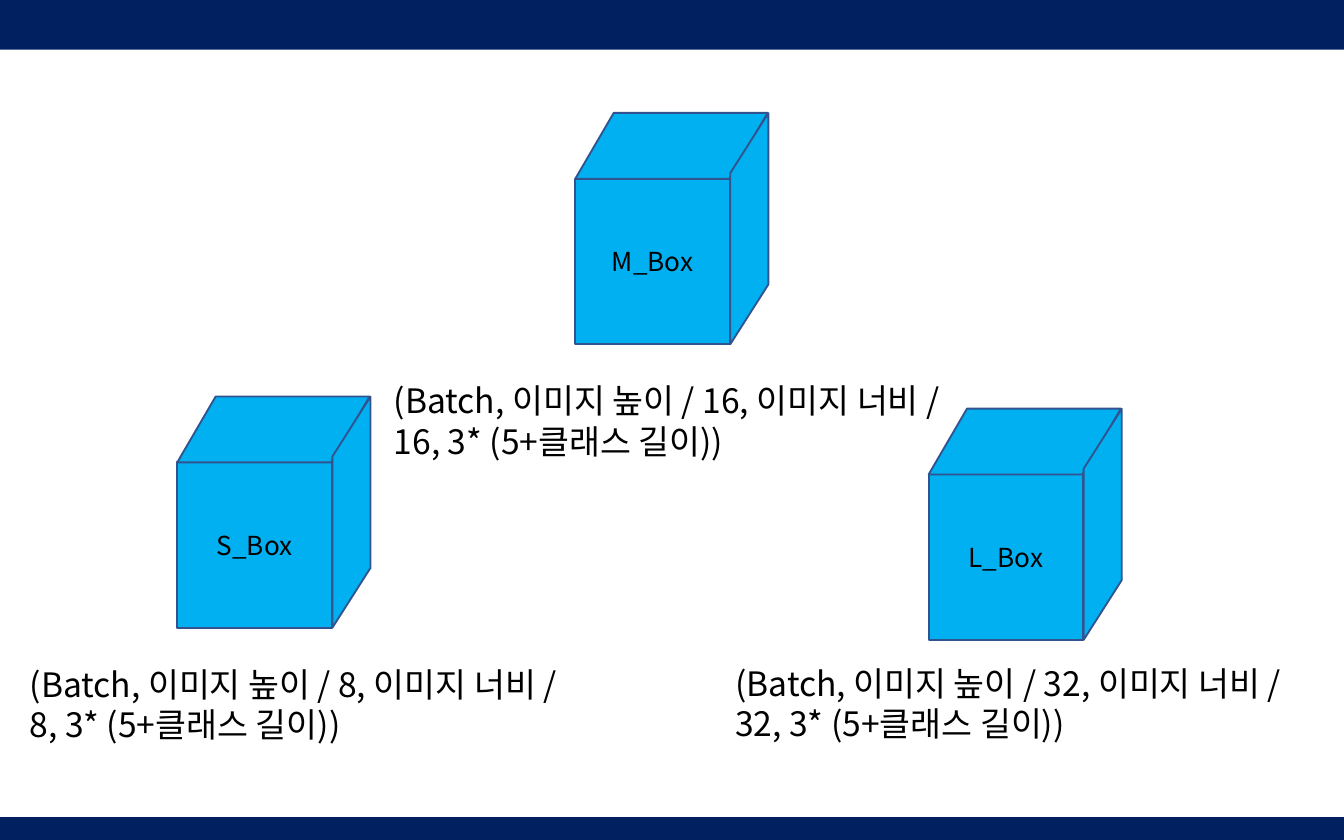
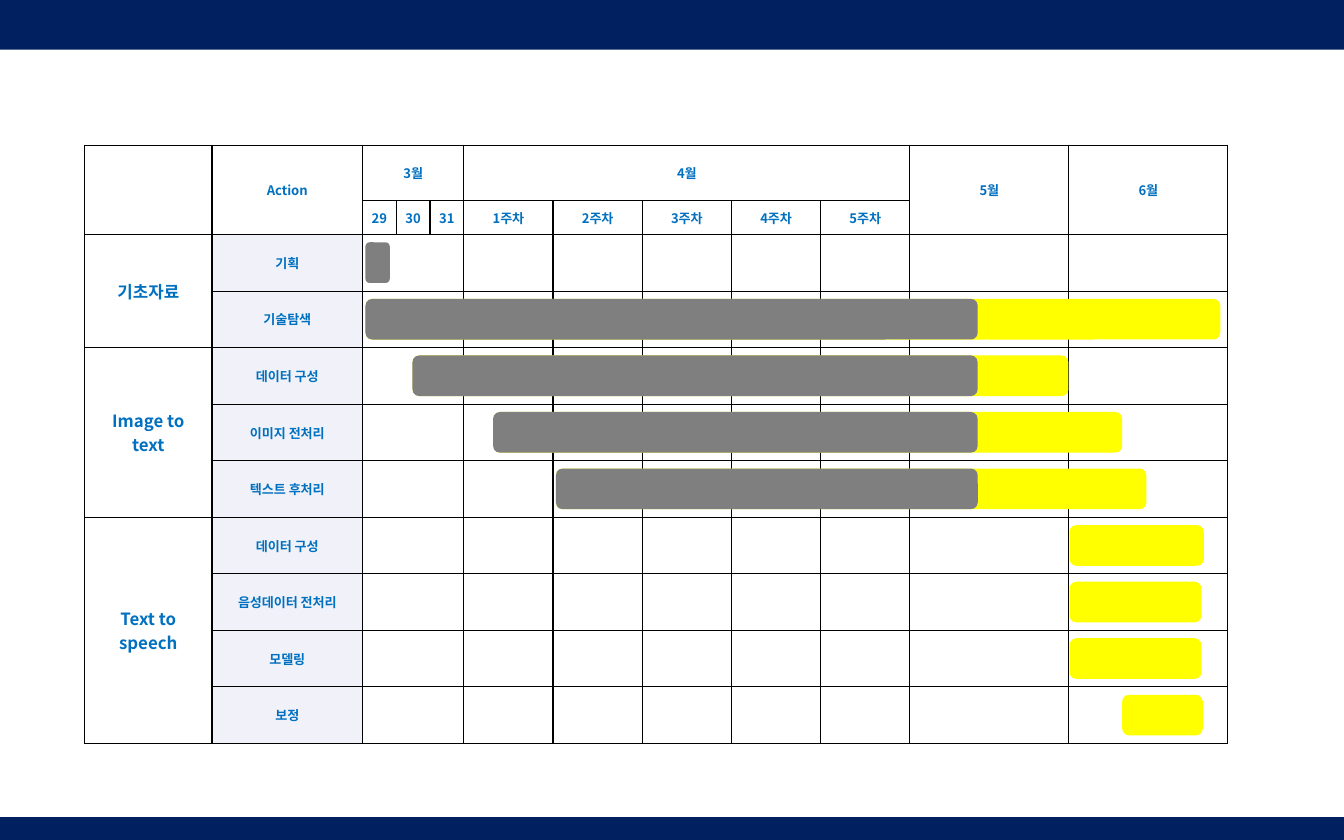
from lxml import etree
from pptx import Presentation
from pptx.dml.color import RGBColor
from pptx.enum.shapes import MSO_SHAPE
from pptx.enum.text import MSO_ANCHOR, MSO_AUTO_SIZE, PP_ALIGN
from pptx.oxml.ns import qn
from pptx.util import Pt

RECT = MSO_SHAPE.RECTANGLE
ROUND = MSO_SHAPE.ROUNDED_RECTANGLE
SLANT = MSO_SHAPE.FLOWCHART_DATA
SIDE = MSO_SHAPE.PARALLELOGRAM
MID = MSO_ANCHOR.MIDDLE
CENTER = PP_ALIGN.CENTER
GROW = MSO_AUTO_SIZE.SHAPE_TO_FIT_TEXT

FONT = "Noto Sans CJK KR"
COLORS = {
    "navy": "002060", "cube": "00B0F0", "edge": "31538F", "black": "000000",
    "blue": "0070C0", "pale": "F1F2F9", "white": "FFFFFF",
    "done": "7F7F7F", "plan": "FFFF00",
}
WIDTH, HEIGHT = 720, 450
BANDS = [(0, 26.6), (437.8, 12.2)]

CUBES = [
    ("L_Box", 497.5, 218.9),
    ("M_Box", 308.2, 60.5),
    ("S_Box", 95, 212.4),
]
NOTES = [
    (8, 10.1, 352.8, 303.8),
    (16, 205.2, 200.9, 320.4),
    (32, 388.1, 352.1, 314.6),
]

TABLE_X, TABLE_Y = 45.2, 77.8
COLS = [68.4, 80.6] + [18.1] * 3 + [47.8] * 5 + [85.2] * 2
ROW = 30.3
ROWS = [29.7, 18.2] + [ROW] * 9
HEADS = [
    ["", "Action", "3월", "", "", "4월", "", "", "", "", "5월", "6월"],
    ["", "", "29", "30", "31", "1주차", "2주차", "3주차", "4주차", "5주차", "", ""],
]
HEAD_SPANS = [(0, 0, 1, 0), (0, 1, 1, 1), (0, 2, 0, 4),
              (0, 5, 0, 9), (0, 10, 1, 10), (0, 11, 1, 11)]
NOW = 523.8
GROUPS = [
    ("기초자료", [
        ("기획", 195.8, 208.8, None),
        ("기술탐색", 195.8, NOW, 653.8)]),
    ("Image to\ntext", [
        ("데이터 구성", 221, NOW, 572.4),
        ("이미지 전처리", 264.2, NOW, 601.2),
        ("텍스트 후처리", 297.8, NOW, 614.2)]),
    ("Text to\nspeech", [
        ("데이터 구성", 573, None, 645),
        ("음성데이터 전처리", 573, None, 643.7),
        ("모델링", 573, None, 643.7),
        ("보정", 601.2, None, 644.4)]),
]
BAR_Y, BAR_H = 129.8, 21.8


def color(name):
    return RGBColor.from_string(COLORS[name])


def style(frame, size, tint, bold=False, align=None):
    for para in frame.paragraphs:
        para.alignment = align
        for run in para.runs:
            font = run.font
            font.size, font.bold, font.name = Pt(size), bold, FONT
            font.color.rgb = color(tint)
            etree.SubElement(font._element, qn("a:ea"), typeface=FONT)
        if not para.runs:
            etree.SubElement(para._p, qn("a:endParaRPr"), sz=str(size * 100))


def inset(box, x, y):
    box.margin_left = box.margin_right = Pt(x)
    box.margin_top = box.margin_bottom = Pt(y)


def block(shapes, kind, x, y, w, h, fill, edge=None):
    shape = shapes.add_shape(kind, Pt(x), Pt(y), Pt(w), Pt(h))
    shape.shadow.inherit = False
    shape.fill.solid()
    shape.fill.fore_color.rgb = color(fill)
    if edge:
        shape.line.color.rgb = color(edge)
        shape.line.width = Pt(1)
    else:
        shape.line.fill.background()
    return shape


def new_slide(deck):
    slide = deck.slides.add_slide(deck.slide_layouts[6])
    for y, h in BANDS:
        block(slide.shapes, RECT, 0, y, WIDTH, h, "navy")
    return slide


def add_cube(slide, name, x, y):
    shapes = slide.shapes.add_group_shape().shapes
    look = ("cube", "edge")
    block(shapes, RECT, x + 23.8, y, 79.2, 88.6, *look)
    front = block(shapes, RECT, x, y + 35.3, 82.8, 88.6, *look)
    front.text_frame.text = name
    front.text_frame.vertical_anchor = MID
    style(front.text_frame, 14, "black", align=CENTER)
    block(shapes, SLANT, x, y, 103, 35.3, *look)
    side = block(shapes, SIDE, x + 31.4, y + 51.8, 123.8, 20.4, *look)
    side.adjustments[0] = 1.57
    side.rotation = 90
    side.element.spPr.find(qn("a:xfrm")).set("flipH", "1")


def add_note(slide, step, x, y, w):
    frame = slide.shapes.add_textbox(Pt(x), Pt(y), Pt(w), Pt(49)).text_frame
    frame.word_wrap = True
    frame.auto_size = GROW
    inset(frame, 5.8, 2.9)
    frame.text = f"(Batch, 이미지 높이 / {step}, 이미지 너비 / {step}, 3* (5+클래스 길이))"
    style(frame, 18, "black")


def frame_cell(cell):
    props = cell._tc.get_or_add_tcPr()
    for i, tag in enumerate(("lnL", "lnR", "lnT", "lnB")):
        line = etree.Element(qn(f"a:{tag}"), w=str(Pt(0.75)))
        fill = etree.SubElement(line, qn("a:solidFill"))
        etree.SubElement(fill, qn("a:srgbClr"), val=COLORS["black"])
        props.insert(i, line)


def add_plan(slide):
    table = slide.shapes.add_table(
        len(ROWS), len(COLS), Pt(TABLE_X), Pt(TABLE_Y),
        Pt(sum(COLS)), Pt(sum(ROWS))).table
    table.first_row = table.horz_banding = False
    for col, w in zip(table.columns, COLS):
        col.width = Pt(w)
    for row, h in zip(table.rows, ROWS):
        row.height = Pt(h)

    grid = [list(line) for line in HEADS]
    spans = list(HEAD_SPANS)
    for group, tasks in GROUPS:
        top = len(grid)
        spans.append((top, 0, top + len(tasks) - 1, 0))
        for i, task in enumerate(tasks):
            spans.append((len(grid), 2, len(grid), 4))
            grid.append(["" if i else group, task[0]] + [""] * 10)

    for r, line in enumerate(grid):
        for c, text in enumerate(line):
            cell = table.cell(r, c)
            cell.text = text
            cell.vertical_anchor = MID
            inset(cell, 0, 0)
            body = r >= len(HEADS)
            style(cell.text_frame, 9 if body and c == 0 else 7,
                  "blue", True, CENTER)
            if body and c:
                cell.fill.solid()
                cell.fill.fore_color.rgb = color("pale" if c == 1 else "white")
            else:
                cell.fill.background()
            frame_cell(cell)
    for top, left, low, right in spans:
        table.cell(top, left).merge(table.cell(low, right))


def add_bars(slide):
    tasks = [task for group in GROUPS for task in group[1]]
    for i, (name, start, done, plan) in enumerate(tasks):
        for end, fill in ((plan, "plan"), (done, "done")):
            if end:
                block(slide.shapes, ROUND, start, BAR_Y + i * ROW,
                      end - start, BAR_H, fill)


def main():
    deck = Presentation()
    deck.slide_width, deck.slide_height = Pt(WIDTH), Pt(HEIGHT)
    slide = new_slide(deck)
    for cube in CUBES:
        add_cube(slide, *cube)
    for note in NOTES:
        add_note(slide, *note)
    slide = new_slide(deck)
    add_plan(slide)
    add_bars(slide)
    deck.save("out.pptx")


if __name__ == "__main__":
    main()
